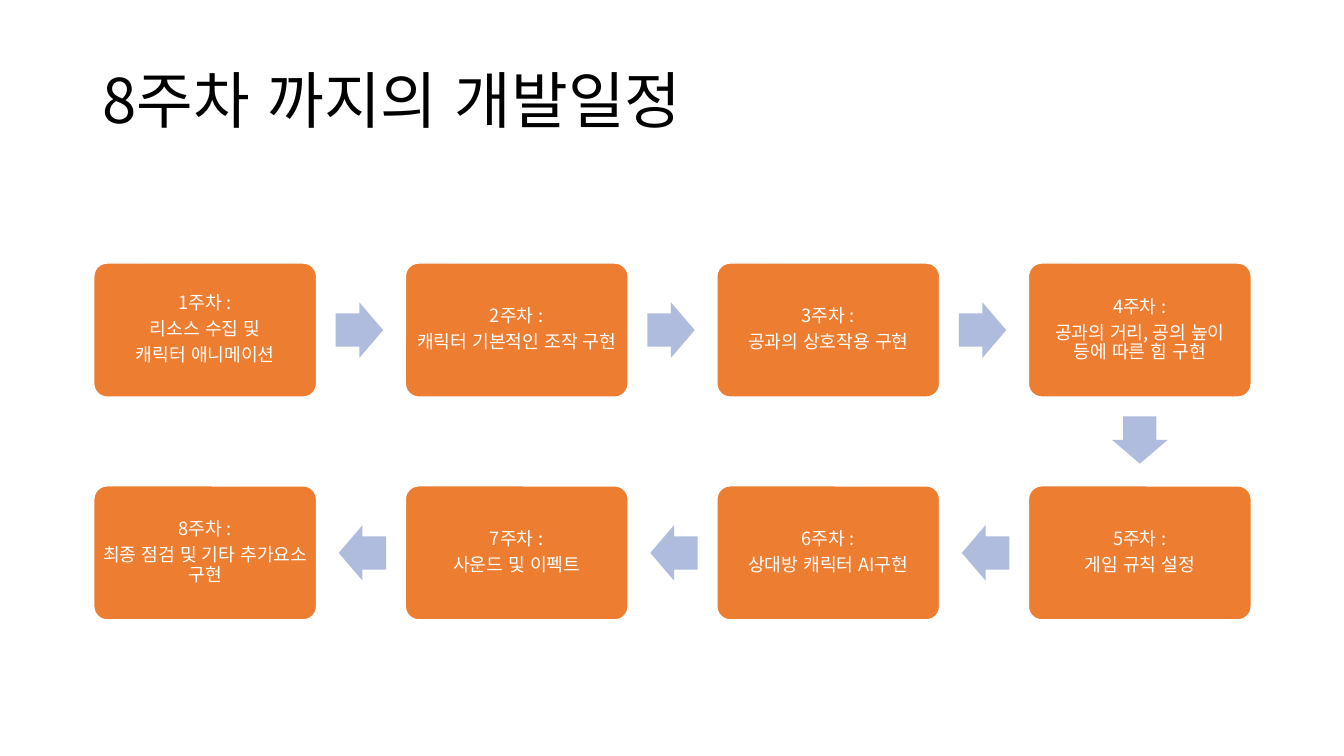
from dataclasses import dataclass

from lxml import etree
from pptx import Presentation, util as u
from pptx.dml.color import RGBColor
from pptx.enum import lang, shapes, text
from pptx.oxml import ns

PX = 9144  # EMU, 100 px to the inch


@dataclass(frozen=True)
class Theme:
    font: str = "Noto Sans CJK KR"
    ink: str = "000000"
    paper: str = "FFFFFF"
    box: str = "ED7D31"
    arrow: str = "B0BCDE"
    title_size: int = 44
    box_size: int = 13


@dataclass(frozen=True)
class Area:
    left: int
    top: int
    width: int
    height: int

    def emu(self) -> list[int]:
        return [px * PX for px in (self.left, self.top, self.width, self.height)]


@dataclass(frozen=True)
class Week:
    number: int
    tasks: tuple[str, ...]


@dataclass(frozen=True)
class Arrow:
    dx: int  # offset from the top left corner of the box it belongs to
    dy: int
    rotation: int


THEME = Theme()
TITLE = Area(92, 40, 1150, 126)
COLUMNS = 4
FIRST_BOX = Area(93, 261, 221, 133)
PITCH_X, PITCH_Y = 309, 221
ARROW_WIDTH, ARROW_HEIGHT = 47, 55
RIGHT = Arrow(240, 39, 0)
DOWN = Arrow(87, 148, 90)
LEFT = Arrow(243 - PITCH_X, 39, 180)

WEEKS = [
    Week(number, tasks)
    for number, tasks in enumerate(
        [
            ("리소스 수집 및", "캐릭터 애니메이션"),
            ("캐릭터 기본적인 조작 구현",),
            ("공과의 상호작용 구현",),
            ("공과의 거리, 공의 높이 등에 따른 힘 구현",),
            ("게임 규칙 설정",),
            ("상대방 캐릭터 AI구현",),
            ("사운드 및 이펙트",),
            ("최종 점검 및 기타 추가요소 구현",),
        ],
        start=1,
    )
]


def apply(target, formats: dict) -> None:
    for name, value in formats.items():
        setattr(target, name, value)


def write(frame, lines: list[str], size: int, color: str, para_format: dict) -> None:
    apply(frame, {"word_wrap": True, "vertical_anchor": text.MSO_ANCHOR.MIDDLE})
    for index, line in enumerate(lines):
        para = frame.add_paragraph() if index else frame.paragraphs[0]
        apply(para, {"line_spacing": 0.9, **para_format})
        span = para.add_run()
        span.text = line
        apply(span.font, {
            "name": THEME.font,
            "size": u.Pt(size),
            "language_id": lang.MSO_LANGUAGE_ID.KOREAN,
        })
        span.font.color.rgb = RGBColor.from_string(color)
        # Korean glyphs take the East Asian typeface
        east_asian = etree.SubElement(span.font._element, ns.qn("a:ea"))
        east_asian.set("typeface", THEME.font)


def add_filled(page, kind, area: Area, fill: str, adjustments: tuple[float, ...]):
    shape = page.shapes.add_shape(kind, *area.emu())
    shape.shadow.inherit = False
    shape.fill.solid()
    shape.fill.fore_color.rgb = RGBColor.from_string(fill)
    for index, value in enumerate(adjustments):
        shape.adjustments[index] = value
    return shape


def box_area(number: int) -> Area:
    """Weeks run rightwards in the first row and back in the second."""
    row, column = divmod(number - 1, COLUMNS)
    if row % 2:
        column = COLUMNS - 1 - column
    return Area(
        FIRST_BOX.left + column * PITCH_X,
        FIRST_BOX.top + row * PITCH_Y,
        FIRST_BOX.width,
        FIRST_BOX.height,
    )


def add_week(page, week: Week) -> None:
    box = add_filled(
        page, shapes.MSO_SHAPE.ROUNDED_RECTANGLE, box_area(week.number), THEME.box, (0.1,)
    )
    box.line.color.rgb = RGBColor.from_string(THEME.paper)
    box.line.width = u.Pt(1)
    frame = box.text_frame
    apply(frame, {f"margin_{side}": 5 * PX for side in ("left", "top", "right", "bottom")})
    write(
        frame, [f"{week.number}주차 :", *week.tasks], THEME.box_size, THEME.paper,
        {"alignment": text.PP_ALIGN.CENTER, "space_after": u.Pt(4.5)},
    )


def add_arrow(page, number: int) -> None:
    arrow = RIGHT if number < COLUMNS else DOWN if number == COLUMNS else LEFT
    box = box_area(number)
    area = Area(box.left + arrow.dx, box.top + arrow.dy, ARROW_WIDTH, ARROW_HEIGHT)
    shape = add_filled(page, shapes.MSO_SHAPE.RIGHT_ARROW, area, THEME.arrow, (0.6, 0.5))
    shape.line.fill.background()
    shape.rotation = arrow.rotation


def main() -> None:
    deck = Presentation()
    apply(deck, {"slide_width": 1333 * PX, "slide_height": 750 * PX})
    page = deck.slides.add_slide(deck.slide_layouts[6])

    # Title
    title = page.shapes.add_textbox(*TITLE.emu())
    write(title.text_frame, ["8주차 까지의 개발일정"], THEME.title_size, THEME.ink, {})

    # Weekly flow
    for week in WEEKS:
        add_week(page, week)
        if week.number < len(WEEKS):
            add_arrow(page, week.number)

    deck.save("out.pptx")


if __name__ == "__main__":
    main()
